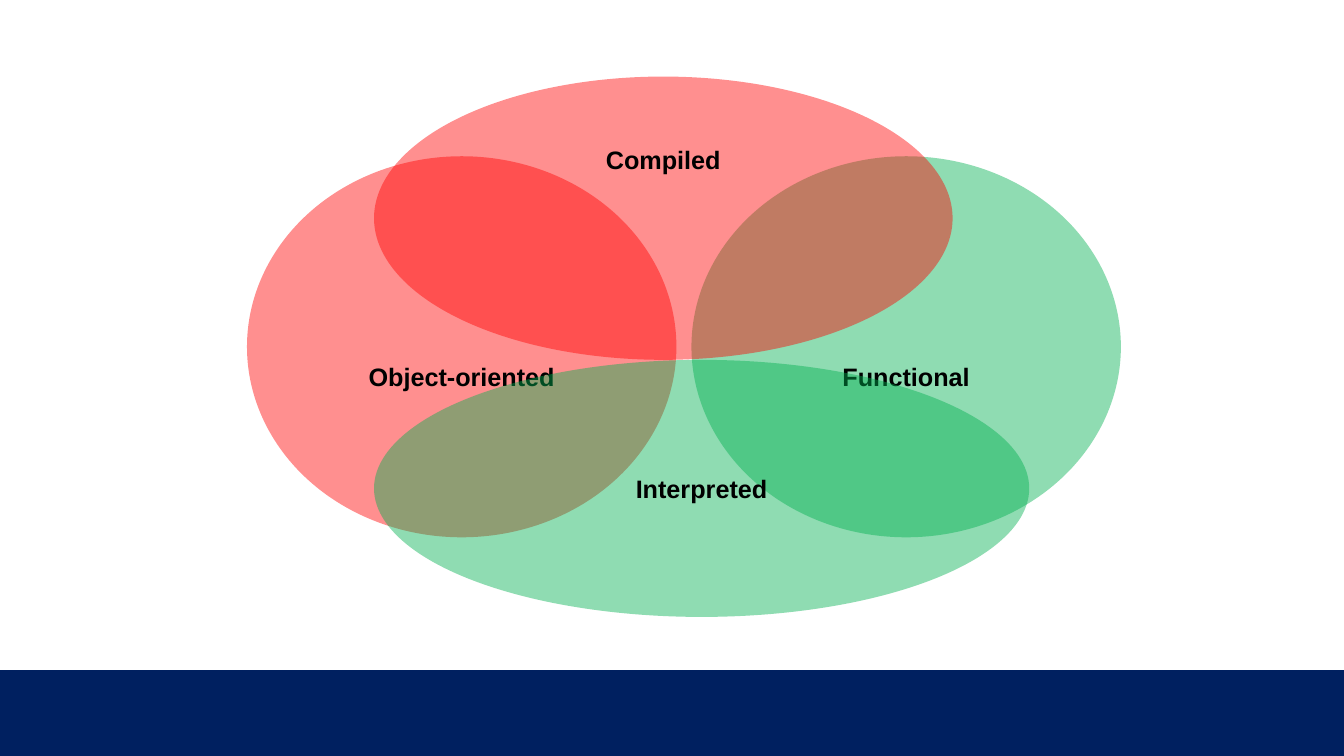
from lxml import etree
from pptx import Presentation
from pptx import util as u
from pptx.dml.color import RGBColor
from pptx.enum import shapes, text
from pptx.oxml.ns import qn

RED, GREEN, NAVY, BLACK = "FF0000", "00B050", "002060", "000000"


def rgb(value):
    return RGBColor.from_string(value)


class Deck:
    """Style and current slide; lengths are percent of slide width and height."""

    font, size, line_height, opacity = "Arial", 18, 0.29, 44

    def __init__(self):
        self.prs = Presentation()
        self.prs.slide_width = u.Inches(13.33)
        self.prs.slide_height = u.Inches(7.5)
        self.s = self.prs.slides.add_slide(self.prs.slide_layouts[6])

    def shape(self, kind, x, y, w, h, color):
        col, row = self.prs.slide_width / 100, self.prs.slide_height / 100
        sp = self.s.shapes.add_shape(
            kind, round(x * col), round(y * row), round(w * col), round(h * row))
        sp.shadow.inherit = False
        sp.fill.solid()
        sp.fill.fore_color.rgb = rgb(color)
        return sp

    def band(self, x, y, w, h, color):
        sp = self.shape(shapes.MSO_SHAPE.RECTANGLE, x, y, w, h, color)
        sp.line.color.rgb = rgb(color)
        sp.line.width = u.Pt(1)

    def set_oval(self, label, x, y, w, h, color, lines_down):
        """Translucent oval, its label moved down from the centre by whole lines."""
        sp = self.shape(shapes.MSO_SHAPE.OVAL, x, y, w, h, color)
        sp.line.fill.background()
        clr = sp.fill._xPr.find(qn("a:solidFill"))[0]
        etree.SubElement(clr, qn("a:alpha"), val=str(self.opacity * 1000))

        tf = sp.text_frame
        tf.word_wrap = True
        tf.vertical_anchor = text.MSO_ANCHOR.MIDDLE
        # A one-sided inset moves centred text by half its size
        inset = u.Inches(2 * self.line_height * abs(lines_down))
        tf.margin_top = inset if lines_down > 0 else 0
        tf.margin_bottom = inset if lines_down < 0 else 0

        p = tf.paragraphs[0]
        p.text = label
        p.alignment = text.PP_ALIGN.CENTER
        p.font.name, p.font.size, p.font.bold = self.font, u.Pt(self.size), True
        p.font.color.rgb = rgb(BLACK)


def main():
    deck = Deck()

    # Footer band
    deck.band(0, 88.67, 100, 11.33, NAVY)

    # Paradigms: left and right
    side = dict(y=20.67, w=31.95, h=50.4, lines_down=1)
    deck.set_oval("Object-oriented", x=18.38, color=RED, **side)
    deck.set_oval("Functional", x=51.45, color=GREEN, **side)

    # Execution models: top and bottom, meeting in the middle
    left, middle = 27.83, 47.6
    top_h, bottom_h = 37.47, 34
    deck.set_oval("Compiled", left, middle - top_h, 43.05, top_h, RED, -2)
    deck.set_oval("Interpreted", left, middle, 48.75, bottom_h, GREEN, 0)

    deck.prs.save("out.pptx")


if __name__ == "__main__":
    main()
